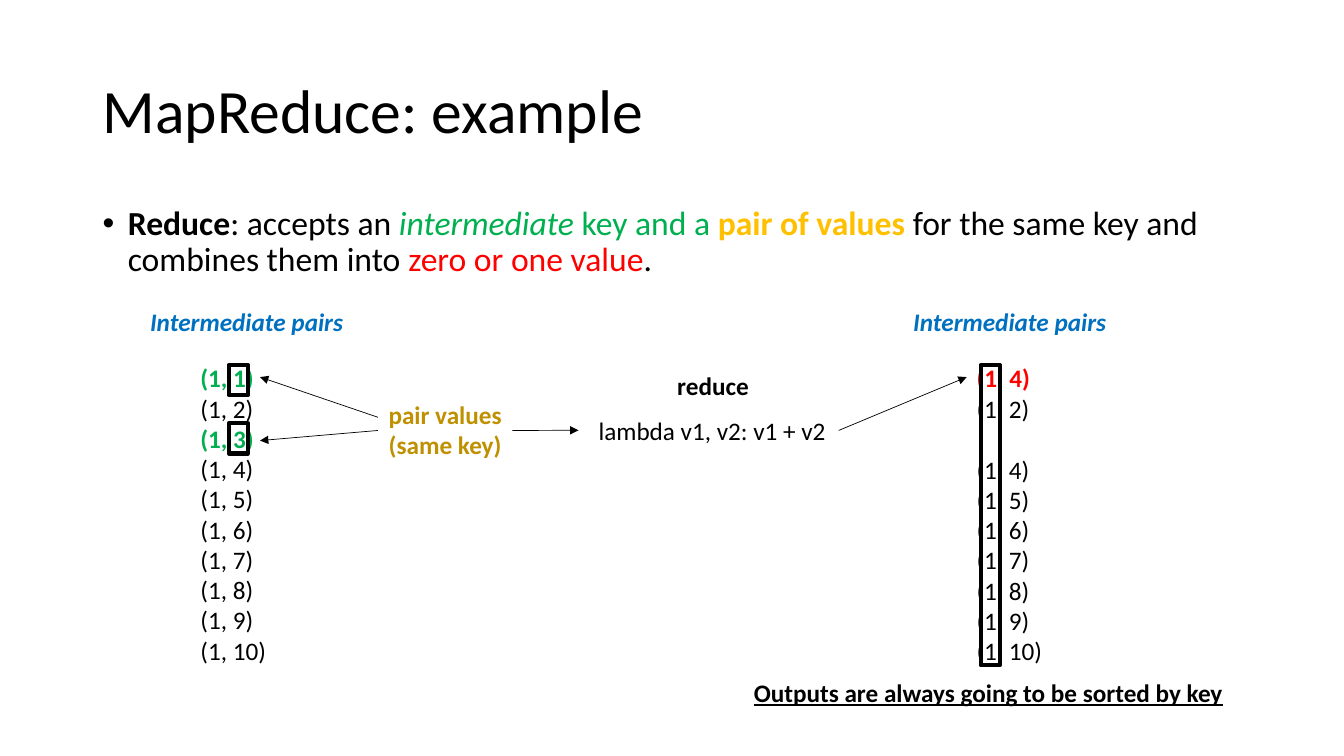
from dataclasses import dataclass

from lxml import etree
from pptx import Presentation
from pptx.dml.color import RGBColor
from pptx.enum.shapes import MSO_CONNECTOR, MSO_SHAPE
from pptx.enum.text import MSO_ANCHOR, MSO_AUTO_SIZE, PP_ALIGN
from pptx.oxml.ns import qn
from pptx.util import Inches, Pt

STRAIGHT = MSO_CONNECTOR.STRAIGHT
RECTANGLE = MSO_SHAPE.RECTANGLE
LEFT, CENTER = PP_ALIGN.LEFT, PP_ALIGN.CENTER
TOP, MIDDLE = MSO_ANCHOR.TOP, MSO_ANCHOR.MIDDLE
FIT_SHAPE, FIXED = MSO_AUTO_SIZE.SHAPE_TO_FIT_TEXT, MSO_AUTO_SIZE.NONE
LEFT_SIDE, RIGHT_SIDE = 1, 3
COLUMNS, ROWS = 40, 25


@dataclass(frozen=True)
class Theme:
    font: str = "Calibri"
    ink: str = "000000"
    key: str = "00B050"
    values: str = "FFC000"
    pair: str = "BF9000"
    result: str = "FF0000"
    heading: str = "0070C0"
    title_size: int = 44
    body_size: int = 24
    label_size: int = 18
    label_pitch: int = 22
    frame_width: float = 3
    arrow_width: float = 0.5


class SlideBuilder:
    """Draws on one slide; all lengths are columns and rows of its grid."""

    def __init__(self, presentation, theme):
        self.theme = theme
        self.column = presentation.slide_width / COLUMNS
        self.row = presentation.slide_height / ROWS
        self.slide = presentation.slides.add_slide(presentation.slide_layouts[6])

    def place(self, *lengths):
        """Turn alternating column and row counts into slide lengths."""
        units = (self.column, self.row) * 2
        return [round(length * unit) for length, unit in zip(lengths, units)]

    def add_text(self, paragraph, text, size=None, color=None,
                 bold=False, italic=False, underline=False):
        for index, line in enumerate(text.split("\n")):
            if index:
                paragraph.add_line_break()
            run = paragraph.add_run()
            run.text = line
            font = run.font
            font.name = self.theme.font
            font.size = Pt(size or self.theme.label_size)
            font.color.rgb = RGBColor.from_string(color or self.theme.ink)
            font.bold, font.italic, font.underline = bold, italic, underline

    def text_box(self, area, wrap=False, fit=FIT_SHAPE, anchor=TOP):
        box = self.slide.shapes.add_textbox(*self.place(*area))
        frame = box.text_frame
        frame.word_wrap, frame.auto_size, frame.vertical_anchor = wrap, fit, anchor
        return box

    def label(self, area, text, align=LEFT, **style):
        box = self.text_box(area)
        paragraph = box.text_frame.paragraphs[0]
        paragraph.alignment = align
        self.add_text(paragraph, text, **style)
        return box

    def title(self, area, text):
        paragraph = self.text_box(area, True, FIXED, MIDDLE).text_frame.paragraphs[0]
        paragraph.line_spacing = 0.9
        self.add_text(paragraph, text, size=self.theme.title_size)

    def bullet(self, area, phrases):
        """Set (text, style) phrases as one bulleted paragraph."""
        paragraph = self.text_box(area, True, FIXED).text_frame.paragraphs[0]
        paragraph.line_spacing, paragraph.space_before = 0.9, Pt(10)
        properties = paragraph._p.get_or_add_pPr()
        properties.set("marL", str(Inches(0.25)))
        properties.set("indent", str(-Inches(0.25)))
        etree.SubElement(properties, qn("a:buFont"), typeface="Arial")
        etree.SubElement(properties, qn("a:buChar"), char="•")
        for text, style in phrases:
            self.add_text(paragraph, text, size=self.theme.body_size, **style)

    def pair_list(self, area, numbers, marked, color):
        """List the pairs by row; None leaves a row's gap, marked rows stand out."""
        frame = self.text_box(area, wrap=True).text_frame
        gap = 0
        for index, number in enumerate(numbers):
            if number is None:
                gap += self.theme.label_pitch
                continue
            paragraph = frame.add_paragraph() if index else frame.paragraphs[0]
            paragraph.space_before = Pt(gap)
            gap = 0
            style = {"color": color, "bold": True} if index in marked else {}
            self.add_text(paragraph, f"(1, {number})", **style)

    def frame(self, area):
        box = self.slide.shapes.add_shape(RECTANGLE, *self.place(*area))
        box.shadow.inherit = False
        box.fill.background()
        box.line.color.rgb = RGBColor.from_string(self.theme.ink)
        box.line.width = Pt(self.theme.frame_width)

    def arrow(self, start, end, source=None, side=RIGHT_SIDE):
        line = self.slide.shapes.add_connector(STRAIGHT, *self.place(*start, *end))
        if source is not None:
            line.begin_connect(source, side)
        line.line.color.rgb = RGBColor.from_string(self.theme.ink)
        line.line.width = Pt(self.theme.arrow_width)
        etree.SubElement(line.line._get_or_add_ln(), qn("a:tailEnd"), type="triangle")
        etree.SubElement(line._element.spPr, qn("a:effectLst"))


def main():
    presentation = Presentation()
    presentation.slide_width, presentation.slide_height = Inches(13.33), Inches(7.5)
    theme = Theme()
    page = SlideBuilder(presentation, theme)

    list_top, frame_top, flow_row = 11.83, 12.07, 14.23
    input_left, output_left = 5.67, 28.77

    page.pair_list((input_left, list_top, 2.61, 10.43), range(1, 11), {0, 2}, theme.key)
    page.pair_list((output_left, list_top, 2.61, 10.43),
                   [4, 2, None, *range(4, 11)], {0}, theme.result)
    page.title((2.76, 1.33, 34.5, 4.83), "MapReduce: example")
    page.bullet((2.76, 6.67, 34.5, 2.83), [
        ("Reduce", {"bold": True}),
        (": accepts an ", {}),
        ("intermediate ", {"color": theme.key, "italic": True}),
        ("key and a ", {"color": theme.key}),
        ("pair of values ", {"color": theme.values, "bold": True}),
        ("for the same key and combines them into ", {}),
        ("zero or one value", {"color": theme.result}),
        (".", {}),
    ])

    for heading_left in (4.17, 26.88):
        page.label((heading_left, 9.97, 6.42, 1.33), "Intermediate pairs",
                   color=theme.heading, bold=True, italic=True)
    for value_top in (frame_top, 14):
        page.frame((6.81, value_top, 0.57, 1))

    pair_values = page.label((11.25, 13.05, 4, 2.37), "pair values\n(same key)",
                             align=CENTER, color=theme.pair, bold=True)
    page.label((19.86, frame_top, 2.73, 1.33), "reduce", bold=True)
    reducer = page.label((17.52, 13.57, 7.44, 1.33), "lambda v1, v2: v1 + v2")

    page.arrow((11.25, 13.8), (7.74, 12.47))
    page.arrow((11.25, flow_row), (7.74, 14.57), pair_values, LEFT_SIDE)
    page.arrow((15.25, flow_row), (17.22, flow_row), pair_values)
    page.arrow((24.96, flow_row), (output_left, 12.47), reducer)

    page.label((22.14, 22.23, 14.67, 1.33),
               "Outputs are always going to be sorted by key", bold=True, underline=True)
    page.frame((29.19, frame_top, 0.57, 9.93))
    presentation.save("out.pptx")


if __name__ == "__main__":
    main()
